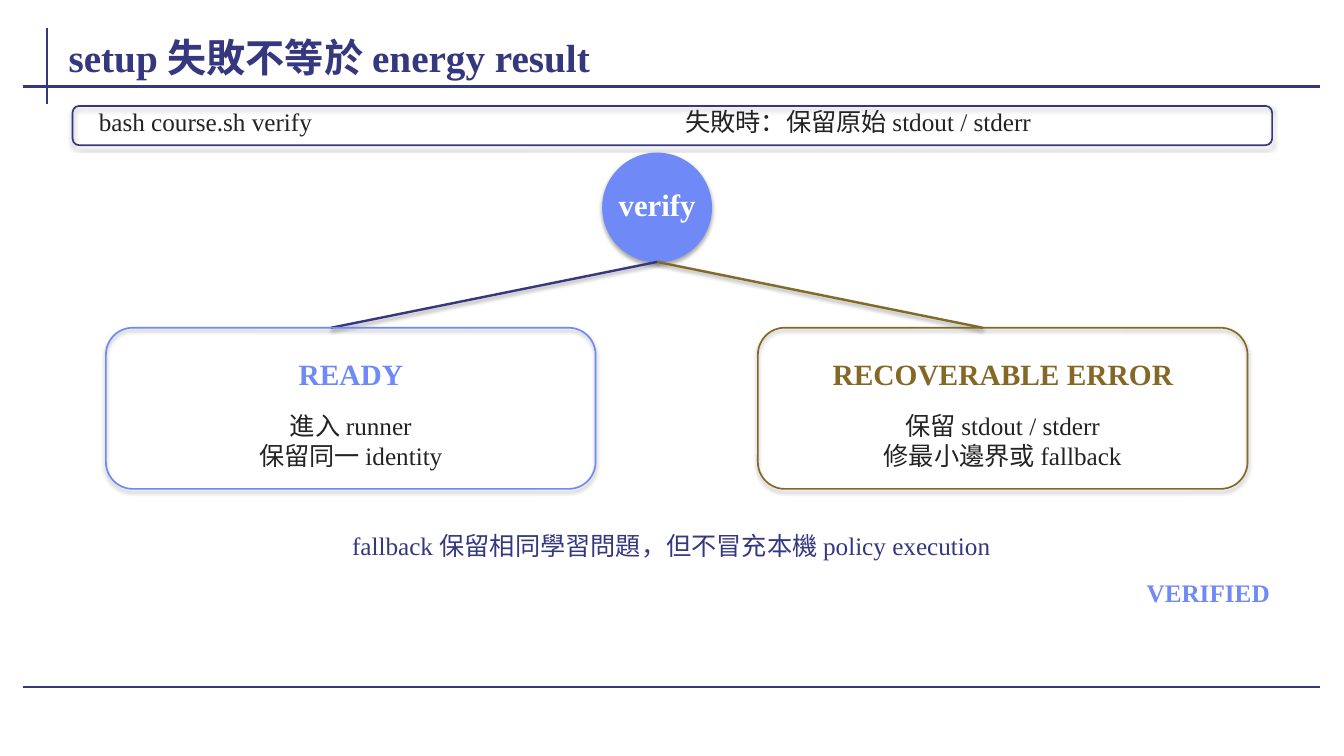
from dataclasses import dataclass

from lxml import etree
from pptx import Presentation
from pptx import util as u
from pptx.dml.color import RGBColor
from pptx.enum import shapes, text
from pptx.oxml.ns import qn


@dataclass(frozen=True)
class Theme:
    font: str = "Times New Roman"
    navy: RGBColor = RGBColor.from_string("35377F")
    blue: RGBColor = RGBColor.from_string("6F89F7")
    gold: RGBColor = RGBColor.from_string("846826")
    ink: RGBColor = RGBColor.from_string("232323")
    white: RGBColor = RGBColor.from_string("FFFFFF")
    title: int = 28
    node: int = 22
    heading: int = 21
    body: int = 18


theme = Theme()


def add_text(content, left, top, width, height, *, size=theme.body, color=theme.ink,
             bold=False, align=text.PP_ALIGN.CENTER, wrap=True, inset=(0.2, 0.15)):
    """Add a text box, one paragraph per line; lengths are in centimetres."""
    box = slide.shapes.add_textbox(u.Cm(left), u.Cm(top), u.Cm(width), u.Cm(height))
    frame = box.text_frame
    frame.word_wrap = wrap
    frame.auto_size = text.MSO_AUTO_SIZE.SHAPE_TO_FIT_TEXT
    frame.vertical_anchor = text.MSO_ANCHOR.MIDDLE
    frame.margin_left = frame.margin_right = u.Cm(inset[0])
    frame.margin_top = frame.margin_bottom = u.Cm(inset[1])
    frame.text = content
    for paragraph in frame.paragraphs:
        paragraph.alignment = align
        for run in paragraph.runs:
            run.font.name = theme.font
            run.font.size = u.Pt(size)
            run.font.bold = bold
            run.font.color.rgb = color


def set_effect(shape, line_color, line_width, distance=None, opacity=35):
    """Style the line and give the shape a soft shadow below, or none."""
    shape.line.color.rgb = line_color
    shape.line.width = u.Pt(line_width)
    effects = etree.SubElement(shape._element.spPr, qn("a:effectLst"))
    if distance:
        shadow = etree.SubElement(effects, qn("a:outerShdw"), blurRad=str(u.Pt(3.1)),
                                  dist=str(u.Pt(distance)), dir="5400000",
                                  rotWithShape="0")
        black = etree.SubElement(shadow, qn("a:srgbClr"), val="000000")
        etree.SubElement(black, qn("a:alpha"), val=str(opacity * 1000))


presentation = Presentation()
presentation.slide_width = u.Cm(33.87)
presentation.slide_height = u.Cm(19.05)
slide = presentation.slides.add_slide(presentation.slide_layouts[6])

# Frame rules
for x1, y1, x2, y2 in ((1.19, 0.71, 1.19, 2.62),
                       (0.58, 2.18, 33.27, 2.18),
                       (0.58, 17.32, 33.27, 17.32)):
    rule = slide.shapes.add_connector(shapes.MSO_CONNECTOR.STRAIGHT,
                                      u.Cm(x1), u.Cm(y1), u.Cm(x2), u.Cm(y2))
    set_effect(rule, theme.navy, 1.5)

# Title
add_text("setup 失敗不等於 energy result", 1.65, 0.56, 29.34, 1.73, size=theme.title,
         color=theme.navy, bold=True, align=text.PP_ALIGN.LEFT, inset=(0.08, 0.03))

# Command bar
bar = slide.shapes.add_shape(shapes.MSO_SHAPE.ROUNDED_RECTANGLE,
                             u.Cm(1.83), u.Cm(2.67), u.Cm(30.23), u.Cm(0.99))
bar.fill.background()
set_effect(bar, theme.navy, 1.2, distance=1.8)
for left, note in ((2.29, "bash course.sh verify"),
                   (17.07, "失敗時：保留原始 stdout / stderr")):
    add_text(note, left, 2.74, 14.17, 0.64, align=text.PP_ALIGN.LEFT, wrap=False)

# Verify node
node = slide.shapes.add_shape(shapes.MSO_SHAPE.OVAL,
                              u.Cm(15.19), u.Cm(3.86), u.Cm(2.74), u.Cm(2.74))
node.fill.solid()
node.fill.fore_color.rgb = theme.blue
set_effect(node, theme.blue, 0.75, distance=1.8)
add_text("verify", 13.97, 4.67, 5.18, 0.97, size=theme.node, color=theme.white, bold=True)

# Branches and outcome panels
panel_top = 8.26
outcomes = (
    (2.67, theme.navy, theme.blue, "READY", "進入 runner\n保留同一 identity"),
    (19.1, theme.gold, theme.gold, "RECOVERABLE ERROR",
     "保留 stdout / stderr\n修最小邊界或 fallback"),
)
for left, branch_color, panel_color, heading, details in outcomes:
    branch = slide.shapes.add_connector(shapes.MSO_CONNECTOR.STRAIGHT, u.Cm(16.56),
                                        u.Cm(6.6), u.Cm(left + 5.67), u.Cm(panel_top))
    set_effect(branch, branch_color, 1.7, distance=1.6, opacity=38)
    panel = slide.shapes.add_shape(shapes.MSO_SHAPE.ROUNDED_RECTANGLE, u.Cm(left),
                                   u.Cm(panel_top), u.Cm(12.34), u.Cm(4.06))
    panel.fill.background()
    set_effect(panel, panel_color, 1.2, distance=1.8)
    add_text(heading, left + 0.46, panel_top + 0.68, 11.43, 0.97,
             size=theme.heading, color=panel_color, bold=True)
    add_text(details, left + 0.71, panel_top + 2.2, 10.92, 1.27)

# Conclusion and status
add_text("fallback 保留相同學習問題，但不冒充本機 policy execution",
         5.18, 13.26, 23.47, 0.97, color=theme.navy, inset=(0.05, 0))
add_text("VERIFIED", 20.32, 14.53, 11.73, 0.81, color=theme.blue, bold=True,
         align=text.PP_ALIGN.RIGHT, inset=(0.05, 0))

presentation.save("out.pptx")
